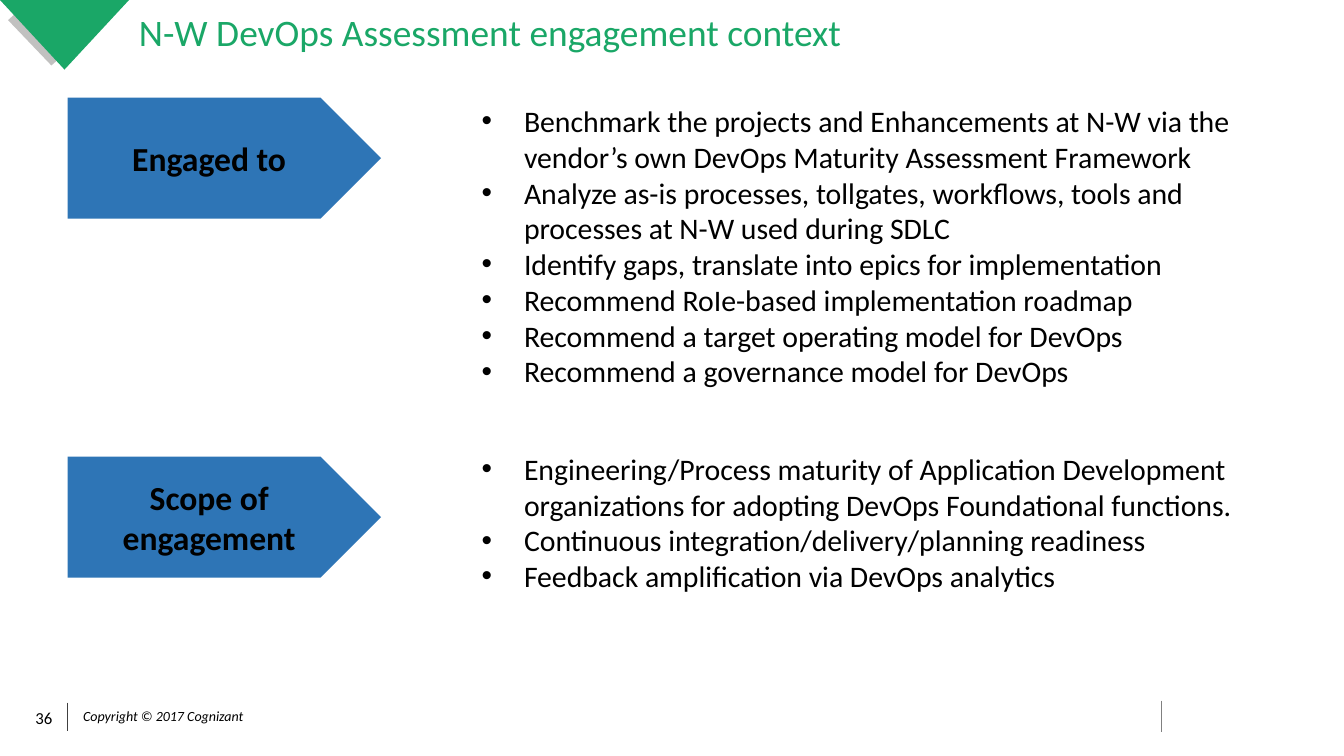
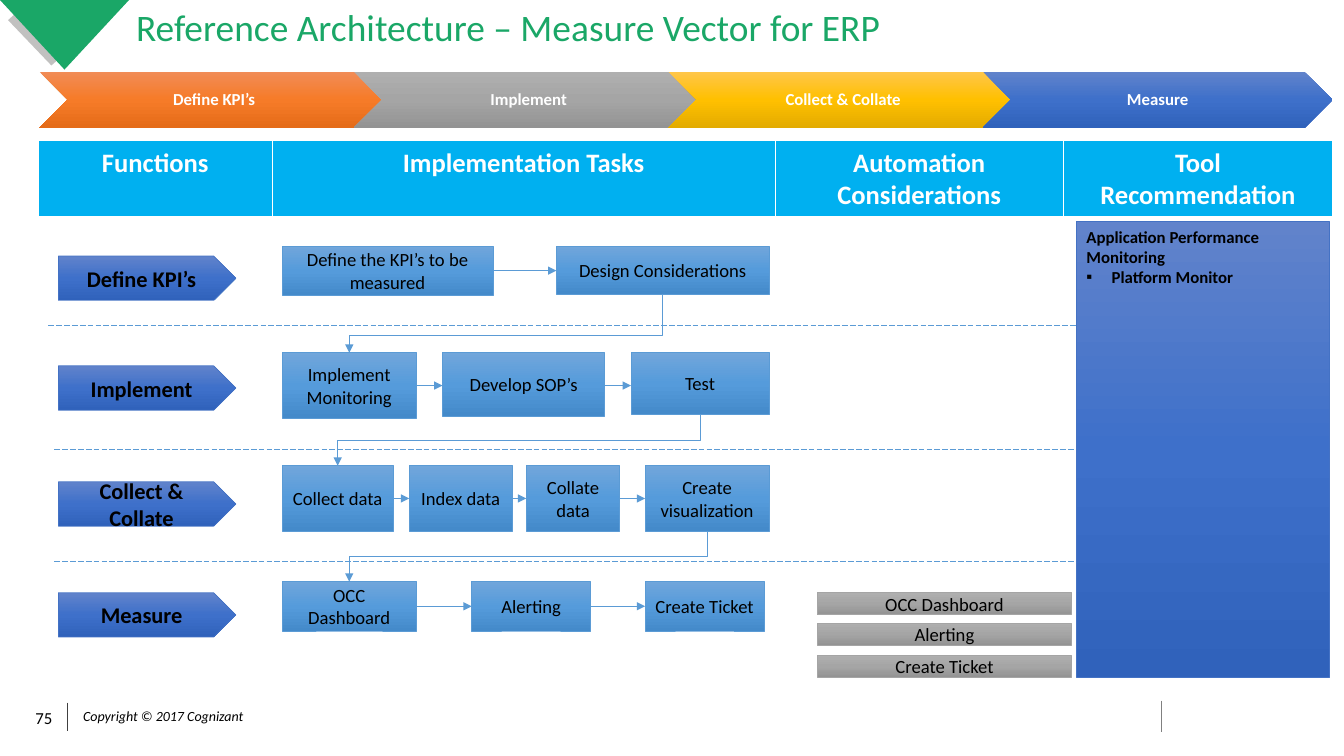
from dataclasses import dataclass

from lxml import etree
from pptx import Presentation
from pptx.dml.color import RGBColor
from pptx.enum.dml import MSO_LINE
from pptx.enum.shapes import MSO_CONNECTOR, MSO_SHAPE
from pptx.enum.text import MSO_ANCHOR, PP_ALIGN
from pptx.oxml.ns import qn
from pptx.util import Emu, Inches, Pt

PENTAGON, CHEVRON, RECTANGLE = MSO_SHAPE.PENTAGON, MSO_SHAPE.CHEVRON, MSO_SHAPE.RECTANGLE
STRAIGHT, ELBOW = MSO_CONNECTOR.STRAIGHT, MSO_CONNECTOR.ELBOW
LEFT, CENTER = PP_ALIGN.LEFT, PP_ALIGN.CENTER
TOP, MIDDLE = MSO_ANCHOR.TOP, MSO_ANCHOR.MIDDLE
LONG_DASH = MSO_LINE.LONG_DASH

# All lengths are counted in grid cells, ten to the inch
CELL = Inches(0.1)
COLUMNS, ROWS = 133.33, 75
FONT = "Calibri"
BLACK, WHITE, GREEN, SILVER = "000000", "FFFFFF", "1AA767", "C1C1C0"
ARROW_BLUE, HEADER_BLUE, LINE_BLUE = "2E75B6", "00B0F0", "5B9BD5"
ORANGE_FADE = ("F18C57", "F67B28", "E56C19")
GRAY_FADE = ("AFAFAF", "A5A5A5", "939393")
GOLD_FADE = ("FFC64B", "FFC000", "E3AB00")
BLUE_FADE = ("6183CB", "3E70CA", "3062BB")
SKY_FADE = ("71A6DB", "559BDB", "448ACA")


@dataclass(frozen=True)
class Area:
    left: float
    top: float
    width: float
    height: float


@dataclass(frozen=True)
class TextStyle:
    size: float
    color: str = BLACK
    bold: bool = False
    italic: bool = False
    align: PP_ALIGN = CENTER
    anchor: MSO_ANCHOR = MIDDLE
    spacing: float = 1.0
    inset: tuple[float, float] = (1, 0.5)
    wrap: bool = True


@dataclass(frozen=True)
class Bullet:
    symbol: str
    margin: float
    hang: float


@dataclass(frozen=True)
class Topic:
    label: str
    label_top: float
    body: Area
    points: tuple[str, ...]


@dataclass(frozen=True)
class Step:
    text: str
    left: float
    width: float
    height: float


@dataclass(frozen=True)
class Lane:
    label: str
    label_top: float
    top: float
    steps: tuple[Step, ...]
    divider: tuple[float, float] | None = None  # left, top
    bend: float = 0.5


TITLE = TextStyle(26.7, GREEN, align=LEFT, anchor=TOP, spacing=0.9)
COPYRIGHT = TextStyle(10, italic=True, inset=(0.6, 0.3))
PAGE_NUMBER = TextStyle(12, inset=(0, 0), wrap=False)
TOPIC_LABEL = TextStyle(24, bold=True)
TOPIC_POINT = TextStyle(21.3, align=LEFT, anchor=TOP)
PHASE = TextStyle(12, WHITE, bold=True, spacing=0.9, inset=(0.3, 0.2))
HEADER = TextStyle(19, WHITE, bold=True, anchor=TOP, inset=(1.3, 0.7))
LANE_LABEL = TextStyle(16, bold=True)
STEP = TextStyle(13.3)
TOOL = TextStyle(12, bold=True, align=LEFT, anchor=TOP)
POINT_BULLET = Bullet("•", 10.8, 4.2)
TOOL_BULLET = Bullet("▪", 2.5, 2.5)

TOPICS = (
    Topic("Engaged to", 9.7, Area(40.2, 9.7, 86.9, 29.7), (
        "Benchmark the projects and Enhancements at N-W via "
        "the vendor’s own DevOps Maturity Assessment Framework",
        "Analyze as-is processes, tollgates, workflows, tools and "
        "processes at N-W used during SDLC",
        "Identify gaps, translate into epics for implementation",
        "Recommend RoIe-based implementation roadmap",
        "Recommend a target operating model for DevOps",
        "Recommend a governance model for DevOps")),
    Topic("Scope of engagement", 45.3, Area(40.2, 44.2, 89.1, 19), (
        "Engineering/Process maturity of Application Development "
        "organizations for adopting DevOps Foundational functions.",
        "Continuous integration/delivery/planning readiness",
        "Feedback amplification via DevOps analytics")),
)
PHASES = (("Define KPI’s", ORANGE_FADE), ("Implement", GRAY_FADE),
          ("Collect & Collate", GOLD_FADE), ("Measure", BLUE_FADE))
HEADERS = (("Functions", 23.2), ("Implementation Tasks", 49.9),
           ("Automation Considerations", 28.6), ("Tool Recommendation", 26.7))
LANES = (
    Lane("Define KPI’s", 25.4, 24.4, (
        Step("Define the KPI’s to be measured", 28, 20.9, 4.9),
        Step("Design Considerations", 55.2, 21.1, 4.8)), (4.8, 32.3), 0.7),
    Lane("Implement", 36.3, 35, (
        Step("Implement Monitoring", 28, 13.3, 6.5),
        Step("Develop SOP’s", 43.9, 16.1, 6.3),
        Step("Test", 62.6, 13.7, 6.1)), (5.4, 44.6)),
    Lane("Collect & Collate", 47.8, 46.2, (
        Step("Collect data", 28, 11, 6.5),
        Step("Index data", 40.6, 10.2, 6.5),
        Step("Collate data", 52.2, 9.3, 6.5),
        Step("Create visualization", 64, 12.3, 6.5)), (5.4, 55.7)),
    Lane("Measure", 58.8, 57.7, (
        Step("OCC Dashboard", 28, 13.3, 4.9),
        Step("Alerting", 46.8, 11.8, 4.9),
        Step("Create Ticket", 64, 11.8, 4.9))),
)
AUTOMATIONS = (("OCC Dashboard", 58.8), ("Alerting", 61.8), ("Create Ticket", 65))


def cells(count: float) -> Emu:
    return Emu(round(count * CELL))


def place(area: Area) -> tuple[Emu, ...]:
    return tuple(map(cells, (area.left, area.top, area.width, area.height)))


def rgb(color: str) -> RGBColor:
    return RGBColor.from_string(color)


def style_paragraph(para, style: TextStyle, bullet: Bullet | None = None) -> None:
    if bullet:
        properties = para._p.get_or_add_pPr()
        properties.set("marL", str(cells(bullet.margin)))
        properties.set("indent", str(cells(-bullet.hang)))
        etree.SubElement(properties, qn("a:buFont"), typeface="Arial")
        etree.SubElement(properties, qn("a:buChar"), char=bullet.symbol)
    para.alignment = style.align
    para.line_spacing = style.spacing
    for span in para.runs:
        span.font.name, span.font.size = FONT, Pt(style.size)
        span.font.bold, span.font.italic = style.bold, style.italic
        span.font.color.rgb = rgb(style.color)


def write(shape, lines: tuple[str, ...], style: TextStyle,
          bullets: tuple[Bullet | None, ...] = (None,)) -> None:
    """Write one paragraph a line; the last bullet serves all further lines."""
    frame = shape.text_frame
    frame.word_wrap, frame.vertical_anchor = style.wrap, style.anchor
    frame.margin_left = frame.margin_right = cells(style.inset[0])
    frame.margin_top = frame.margin_bottom = cells(style.inset[1])
    frame.text = "\n".join(lines)
    for index, para in enumerate(frame.paragraphs):
        style_paragraph(para, style, bullets[min(index, len(bullets) - 1)])


def add_text(page, area: Area, lines: tuple[str, ...], style: TextStyle,
             bullets: tuple[Bullet | None, ...] = (None,)) -> None:
    write(page.shapes.add_textbox(*place(area)), lines, style, bullets)


def paint(shape, fill: str | tuple[str, ...], line: str | None = None) -> None:
    shape.shadow.inherit = False
    if isinstance(fill, str):
        shape.fill.solid()
        shape.fill.fore_color.rgb = rgb(fill)
    else:
        shape.fill.gradient()
        shape.fill.gradient_angle = 270
        stops = shape._element.spPr.find(qn("a:gradFill")).find(qn("a:gsLst"))
        for stop in list(stops):
            stops.remove(stop)
        for index, color in enumerate(fill):
            stop = etree.SubElement(stops, qn("a:gs"), pos=str(index * 50000))
            etree.SubElement(stop, qn("a:srgbClr"), val=color)
    if line:
        shape.line.color.rgb, shape.line.width = rgb(line), Pt(0.5)
    else:
        shape.line.fill.background()


def add_block(page, kind: MSO_SHAPE, area: Area, lines: tuple[str, ...], style: TextStyle,
              fill: str | tuple[str, ...], line: str | None = None,
              bullets: tuple[Bullet | None, ...] = (None,)) -> None:
    block = page.shapes.add_shape(kind, *place(area))
    paint(block, fill, line)
    write(block, lines, style, bullets)


def add_line(page, start: tuple[float, float], end: tuple[float, float],
             color: str = LINE_BLUE, arrow: bool = False, kind: MSO_CONNECTOR = STRAIGHT):
    line = page.shapes.add_connector(kind, *map(cells, (*start, *end)))
    line.line.color.rgb, line.line.width = rgb(color), Pt(0.5)
    if arrow:
        etree.SubElement(line.line._get_or_add_ln(), qn("a:tailEnd"), type="triangle")
    etree.SubElement(line._element.spPr, qn("a:effectLst"))
    return line


def add_elbow(page, start: tuple[float, float], end: tuple[float, float], bend: float) -> None:
    """Run down, left and down again: an elbow turned a quarter clockwise."""
    middle_x, middle_y = (start[0] + end[0]) / 2, (start[1] + end[1]) / 2
    half_drop, half_run = (end[1] - start[1]) / 2, (start[0] - end[0]) / 2
    elbow = add_line(page, (middle_x - half_drop, middle_y - half_run),
                     (middle_x + half_drop, middle_y + half_run), arrow=True, kind=ELBOW)
    properties = elbow._element.spPr
    properties.find(qn("a:xfrm")).set("rot", "5400000")
    guides = properties.find(qn("a:prstGeom")).find(qn("a:avLst"))
    etree.SubElement(guides, qn("a:gd"), name="adj1", fmla=f"val {round(bend * 100000)}")


def add_outline(page, points: tuple[tuple[float, float], ...], color: str) -> None:
    corners = [(cells(x), cells(y)) for x, y in points]
    builder = page.shapes.build_freeform(*corners[0])
    builder.add_line_segments(corners[1:], close=True)
    paint(builder.convert_to_shape(), color)


def add_page(deck, title: str, number: str, title_inset: tuple[float, float]):
    page = deck.slides.add_slide(deck.slide_layouts[6])
    add_line(page, (6.7, 69.7), (6.7, 72.5), "404040")
    add_line(page, (115.2, 69.5), (115.2, 72.6), "808080")
    add_outline(page, ((6, 5.7), (5.1, 6.5), (0.8, 2), (1.7, 1.2)), SILVER)
    add_outline(page, ((6.4, 6.9), (12.8, 0), (0, 0)), GREEN)
    add_text(page, Area(7.2, 69.9, 18, 2.3), ("Copyright © 2017 Cognizant",), COPYRIGHT)
    add_text(page, Area(1.6, 69.7, 5.5, 3), (number,), PAGE_NUMBER)
    title_style = TextStyle(TITLE.size, TITLE.color, align=TITLE.align, anchor=TITLE.anchor,
                            spacing=TITLE.spacing, inset=title_inset)
    add_text(page, Area(12.8, 0.9, 117.7, 5.6), (title,), title_style)
    return page


def add_header_table(page) -> None:
    area = Area(3.8, 13.9, sum(width for _, width in HEADERS), 7.6)
    table = page.shapes.add_table(1, len(HEADERS), *place(area)).table
    for index, (text, width) in enumerate(HEADERS):
        table.columns[index].width = cells(width)
        cell = table.cell(0, index)
        for side, weight in (("L", 1), ("R", 1), ("T", 1), ("B", 3)):
            border = etree.SubElement(cell._tc.get_or_add_tcPr(), qn(f"a:ln{side}"),
                                      w=str(Pt(weight)))
            fill = etree.SubElement(border, qn("a:solidFill"))
            etree.SubElement(fill, qn("a:srgbClr"), val=WHITE)
        cell.fill.solid()
        cell.fill.fore_color.rgb = rgb(HEADER_BLUE)
        cell.margin_left = cell.margin_right = cells(HEADER.inset[0])
        cell.margin_top = cell.margin_bottom = cells(HEADER.inset[1])
        cell.text_frame.text = text
        style_paragraph(cell.text_frame.paragraphs[0], HEADER)


def add_lane(page, lane: Lane) -> None:
    add_block(page, PENTAGON, Area(5.8, lane.label_top, 17.6, 4.4), (lane.label,),
              LANE_LABEL, BLUE_FADE, "4472C4")
    if lane.divider:
        left, top = lane.divider
        add_line(page, (left, top), (left + 125.2, top)).line.dash_style = LONG_DASH
    for step in lane.steps:
        add_block(page, RECTANGLE, Area(step.left, lane.top, step.width, step.height),
                  (step.text,), STEP, SKY_FADE, LINE_BLUE)
    arrow_y = lane.top + lane.steps[0].height / 2
    for step, following in zip(lane.steps, lane.steps[1:]):
        add_line(page, (step.left + step.width, arrow_y), (following.left, arrow_y), arrow=True)


def add_context_page(deck) -> None:
    page = add_page(deck, "N-W DevOps Assessment engagement context", "36", (1, 0.5))
    for topic in TOPICS:
        add_block(page, PENTAGON, Area(6.7, topic.label_top, 31.1, 12), (topic.label,),
                  TOPIC_LABEL, ARROW_BLUE)
        add_text(page, topic.body, topic.points, TOPIC_POINT, (POINT_BULLET,))


def add_architecture_page(deck) -> None:
    page = add_page(deck, "Reference Architecture – Measure Vector for ERP", "75", (0.7, 0))
    for index, (text, fade) in enumerate(PHASES):
        add_block(page, CHEVRON, Area(3.9 + index * 31.2, 7.1, 34.7, 5.6), (text,), PHASE, fade)
    add_header_table(page)
    for lane in LANES:
        add_lane(page, lane)
    # Lead from the last step of each lane to the first of the next
    for lane, following in zip(LANES, LANES[1:]):
        last, first = lane.steps[-1], following.steps[0]
        add_elbow(page, (last.left + last.width / 2, lane.top + last.height),
                  (first.left + first.width / 2, following.top), lane.bend)
    for text, top in AUTOMATIONS:
        add_block(page, RECTANGLE, Area(81.1, top, 25.2, 2.2), (text,), STEP, GRAY_FADE, "A5A5A5")
    add_block(page, RECTANGLE, Area(106.8, 22, 25.1, 45.2),
              ("Application Performance Monitoring", "Platform Monitor"),
              TOOL, BLUE_FADE, "4472C4", (None, TOOL_BULLET))


def main() -> None:
    deck = Presentation()
    deck.slide_width, deck.slide_height = cells(COLUMNS), cells(ROWS)
    add_context_page(deck)
    add_architecture_page(deck)
    deck.save("out.pptx")


if __name__ == "__main__":
    main()
